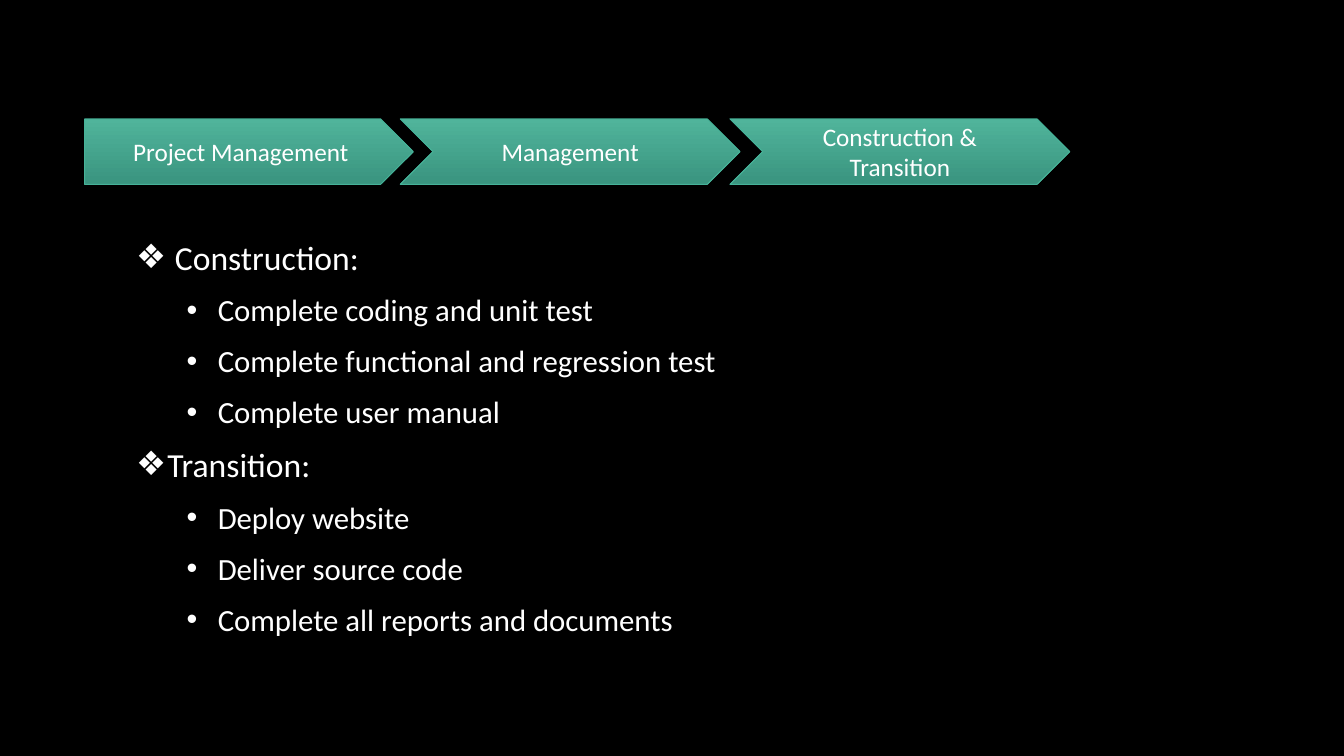
from dataclasses import dataclass

from lxml import etree
from pptx import Presentation
from pptx.dml.color import RGBColor
from pptx.enum.shapes import MSO_SHAPE
from pptx.enum.text import MSO_ANCHOR, MSO_AUTO_SIZE, PP_ALIGN
from pptx.oxml.ns import qn
from pptx.util import Inches, Pt

PENTAGON, CHEVRON = MSO_SHAPE.PENTAGON, MSO_SHAPE.CHEVRON
MIDDLE, CENTER = MSO_ANCHOR.MIDDLE, PP_ALIGN.CENTER
NO_AUTOFIT = MSO_AUTO_SIZE.NONE
TITLE_AND_CONTENT = 1


@dataclass(frozen=True)
class Theme:
    font: str = "Calibri"
    background: str = "000000"
    text: str = "FFFFFF"
    step_top: str = "50B49B"
    step_bottom: str = "3A947F"
    step_edge: str = "46B298"
    step_size: int = 18
    heading_size: int = 24
    task_size: int = 22


THEME = Theme()
STEPS = [
    ("Project Management", PENTAGON, 0.84, 3.26),
    ("Management", CHEVRON, 3.97, 3.37),
    ("Construction & Transition", CHEVRON, 7.24, 3.37),
]
PHASES = [
    (" Construction:", [
        "Complete coding and unit test",
        "Complete functional and regression test",
        "Complete user manual",
    ]),
    ("Transition:", [
        "Deploy website",
        "Deliver source code",
        "Complete all reports and documents",
    ]),
]


def rgb(value):
    return RGBColor.from_string(value)


def add_run(paragraph, text, size):
    run = paragraph.add_run()
    run.text = text
    run.font.name = THEME.font
    run.font.size = Pt(size)
    run.font.color.rgb = rgb(THEME.text)


def add_step(slide, label, outline, left, width):
    step = slide.shapes.add_shape(
        outline, Inches(left), Inches(1.18), Inches(width), Inches(0.65))
    step.shadow.inherit = False
    step.fill.gradient()
    step.fill.gradient_angle = 270
    for stop, colour in zip(step.fill.gradient_stops, (THEME.step_top, THEME.step_bottom)):
        stop.color.rgb = rgb(colour)
    step.line.color.rgb = rgb(THEME.step_edge)
    step.line.width = Pt(0.75)
    step.text_frame.vertical_anchor = MIDDLE
    paragraph = step.text_frame.paragraphs[0]
    paragraph.alignment = CENTER
    add_run(paragraph, label, THEME.step_size)


def set_bullet(paragraph, symbol, indent):
    properties = paragraph._p.get_or_add_pPr()
    properties.set("marL", str(Inches(indent)))
    properties.set("indent", str(Inches(-0.31)))
    colour = etree.SubElement(properties, qn("a:buClr"))
    etree.SubElement(colour, qn("a:srgbClr"), val=THEME.text)
    etree.SubElement(properties, qn("a:buChar"), char=symbol)


def add_item(paragraph, text, level, symbol, indent, size):
    paragraph.level = level
    paragraph.space_before = Pt(0)
    paragraph.space_after = Pt(10)
    set_bullet(paragraph, symbol, indent)
    add_run(paragraph, text, size)


def fill_plan(plan):
    plan.left, plan.top = Inches(0.75), Inches(2.34)
    plan.width, plan.height = Inches(11.08), Inches(3.99)
    frame = plan.text_frame
    frame.word_wrap = True
    frame.auto_size = NO_AUTOFIT
    frame.vertical_anchor = MIDDLE
    for number, (heading, tasks) in enumerate(PHASES):
        paragraph = frame.add_paragraph() if number else frame.paragraphs[0]
        add_item(paragraph, heading, 0, "❖", 0.81, THEME.heading_size)
        for task in tasks:
            add_item(frame.add_paragraph(), task, 1, "•", 1.31, THEME.task_size)


def main():
    deck = Presentation()
    deck.slide_width, deck.slide_height = Inches(13.33), Inches(7.5)
    slide = deck.slides.add_slide(deck.slide_layouts[TITLE_AND_CONTENT])
    slide.background.fill.solid()
    slide.background.fill.fore_color.rgb = rgb(THEME.background)
    empty_title = slide.shapes.title.element
    empty_title.getparent().remove(empty_title)
    fill_plan(slide.placeholders[1])
    for step in STEPS:
        add_step(slide, *step)
    deck.save("out.pptx")


main()
